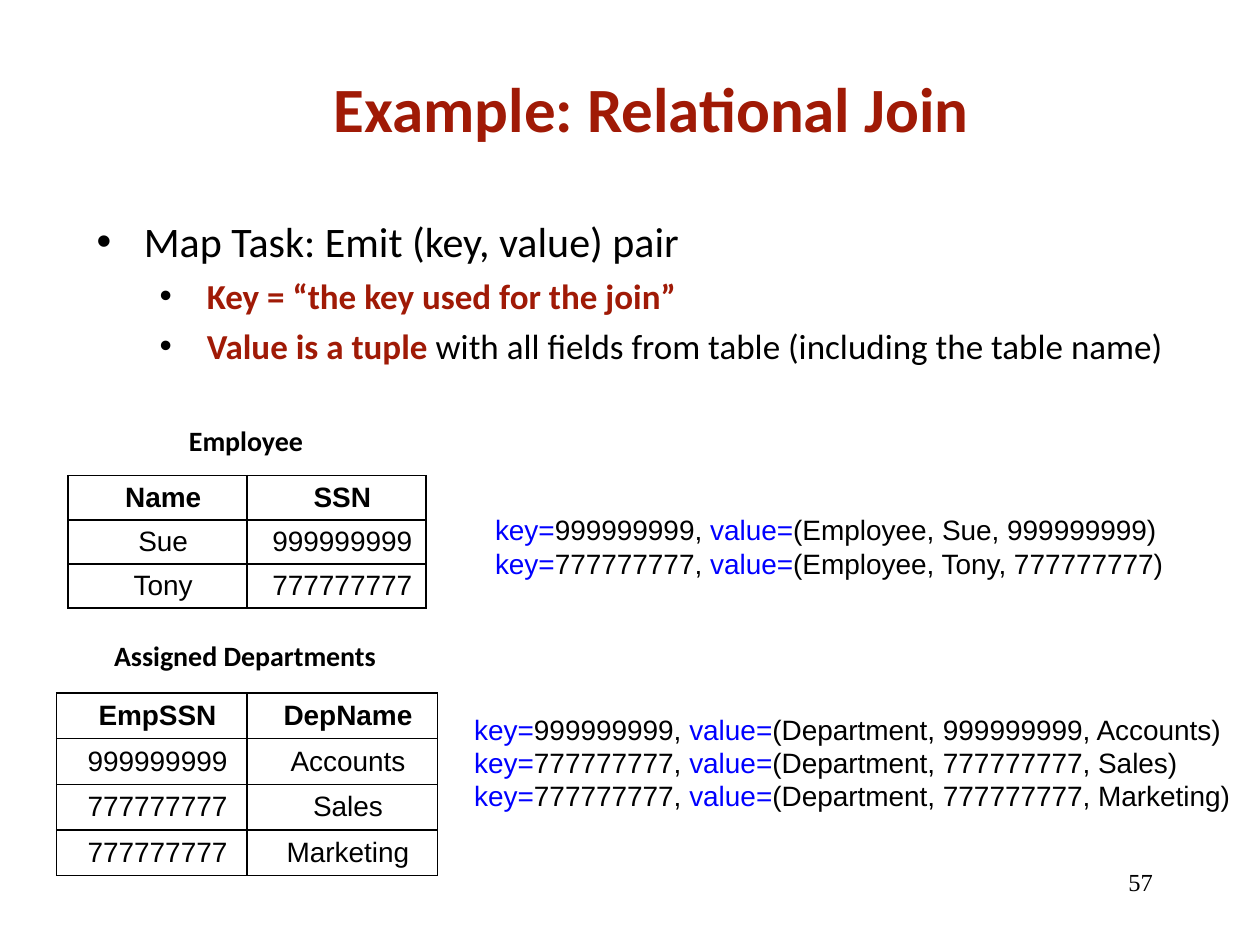
"""Build a slide that shows the map step of a relational join."""
from lxml.etree import SubElement
from pptx import Presentation
from pptx.dml.color import RGBColor
from pptx.enum.text import MSO_ANCHOR, PP_ALIGN
from pptx.oxml import parse_xml
from pptx.oxml.ns import nsdecls, qn
from pptx.util import Cm, Pt

BLACK = RGBColor(0x00, 0x00, 0x00)
RED = RGBColor(0xA0, 0x1A, 0x06)
BLUE = RGBColor(0x00, 0x00, 0xFF)

TITLE = "Example: Relational Join"
PAGE_NUMBER = "57"
FRAME_SIDE = 8.33
BULLETS = [
    (0, 24, [("Map Task: Emit (key, value) pair", BLACK, False)]),
    (1, 20, [("Key = “the key used for the join”", RED, True)]),
    (1, 20, [("Value is a tuple ", RED, True),
             ("with all fields from table (including the table name)", BLACK, False)]),
]
RELATIONS = [
    {
        "label": "Employee", "label_at": (3.56, 8.41, 2.84, 0.94),
        "relation": "Employee", "key_column": 1,
        "rows": [("Name", "SSN"), ("Sue", "999999999"), ("Tony", "777777777")],
        "table_at": (1.37, 9.59), "cell_size": (3.61, 0.89),
        "pairs_at": (9.95, 10.37, 14.1, 1.37),
    },
    {
        "label": "Assigned Departments", "label_at": (2.05, 12.75, 5.87, 0.94),
        "relation": "Department", "key_column": 0,
        "rows": [("EmpSSN", "DepName"), ("999999999", "Accounts"),
                 ("777777777", "Sales"), ("777777777", "Marketing")],
        "table_at": (1.14, 13.97), "cell_size": (3.84, 0.92),
        "pairs_at": (9.53, 14.39, 15.7, 2.03),
    },
]


def format_span(span, font, size, color=BLACK, bold=False):
    span.font.name = font
    span.font.size = Pt(size)
    span.font.color.rgb = color
    span.font.bold = bold


def add_span(para, text, *style):
    span = para.add_run()
    span.text = text
    format_span(span, *style)


def add_box(page, place, margin=None, wrap=True):
    frame = page.shapes.add_textbox(*map(Cm, place)).text_frame
    frame.word_wrap = wrap
    if margin is not None:
        frame.margin_left = frame.margin_right = Cm(margin)
        frame.margin_top = frame.margin_bottom = Cm(margin)
    return frame


def set_indent(para, left, first=0):
    properties = para._p.get_or_add_pPr()
    properties.set("marL", str(Cm(left)))
    properties.set("indent", str(Cm(first)))
    return properties


def add_title(page):
    title = page.shapes.title
    title.left, title.top, title.width, title.height = map(Cm, (2.34, 1.27, 21.59, 3.18))
    frame = title.text_frame
    frame.text = TITLE
    frame.vertical_anchor = MSO_ANCHOR.TOP
    para = frame.paragraphs[0]
    para.alignment = PP_ALIGN.CENTER
    format_span(para.runs[0], "Calibri", 36, RED, True)


def add_bullets(page):
    frame = add_box(page, (1.7, 4.02, 22.66, 3.51))
    for index, (level, size, spans) in enumerate(BULLETS):
        para = frame.add_paragraph() if index else frame.paragraphs[0]
        para.level = level
        para.line_spacing = 1.2
        properties = set_indent(para, 0.95 + 1.27 * level, -0.95)
        bullet_color = SubElement(properties, qn("a:buClr"))
        SubElement(bullet_color, qn("a:srgbClr")).set("val", str(BLACK))
        SubElement(properties, qn("a:buFont")).set("typeface", "Arial")
        SubElement(properties, qn("a:buChar")).set("char", "•")
        for text, color, bold in spans:
            add_span(para, text, "Calibri", size, color, bold)


def add_borders(cell):
    properties = cell._tc.get_or_add_tcPr()
    for index, side in enumerate("LRTB"):
        properties.insert(index, parse_xml(
            f'<a:ln{side} {nsdecls("a")} w="{Pt(1)}"><a:solidFill>'
            f'<a:srgbClr val="{BLACK}"/></a:solidFill></a:ln{side}>'))


def add_relation_table(page, rows, place, cell_size):
    width, height = cell_size
    size = (width * len(rows[0]), height * len(rows))
    holder = page.shapes.add_table(len(rows), len(rows[0]), *map(Cm, place + size))
    table = holder.table
    table.first_row = table.horz_banding = False
    for column in table.columns:
        column.width = Cm(width)
    for row_index, fields in enumerate(rows):
        table.rows[row_index].height = Cm(height)
        for column_index, field in enumerate(fields):
            cell = table.cell(row_index, column_index)
            cell.text = field
            cell.fill.background()
            cell.vertical_anchor = MSO_ANCHOR.MIDDLE
            cell.margin_left = cell.margin_right = cell.margin_top = cell.margin_bottom = 0
            para = cell.text_frame.paragraphs[0]
            para.alignment = PP_ALIGN.CENTER
            set_indent(para, 0.23)
            format_span(para.runs[0], "Arial", 16, BLACK, row_index == 0)
            add_borders(cell)
    holder.width = holder.height = Cm(FRAME_SIDE)


def add_pairs(page, relation, key_column, records, place):
    para = add_box(page, place, margin=0).paragraphs[0]
    para.line_spacing = 0.99
    set_indent(para, 0.03)
    for index, record in enumerate(records):
        gap = " " if index < len(records) - 1 else ""
        value = ", ".join((relation,) + record)
        for text, color in (("key=", BLUE), (f"{record[key_column]}, ", BLACK),
                            ("value=", BLUE), (f"({value}){gap}", BLACK)):
            add_span(para, text, "Arial", 16, color)


def add_relation(page, item):
    add_relation_table(page, item["rows"], item["table_at"], item["cell_size"])
    label = add_box(page, item["label_at"], wrap=False)
    add_span(label.paragraphs[0], item["label"], "Calibri", 16, BLACK, True)
    add_pairs(page, item["relation"], item["key_column"], item["rows"][1:], item["pairs_at"])


def main():
    deck = Presentation()
    deck.slide_width, deck.slide_height = Cm(25.4), Cm(19.05)
    page = deck.slides.add_slide(deck.slide_layouts[5])
    add_title(page)
    add_bullets(page)
    for item in RELATIONS:
        add_relation(page, item)
    number = add_box(page, (18.21, 17.35, 5.28, 1.27)).paragraphs[0]
    number.alignment = PP_ALIGN.RIGHT
    add_span(number, PAGE_NUMBER, "Times New Roman", 14)
    deck.save("out.pptx")


if __name__ == "__main__":
    main()
